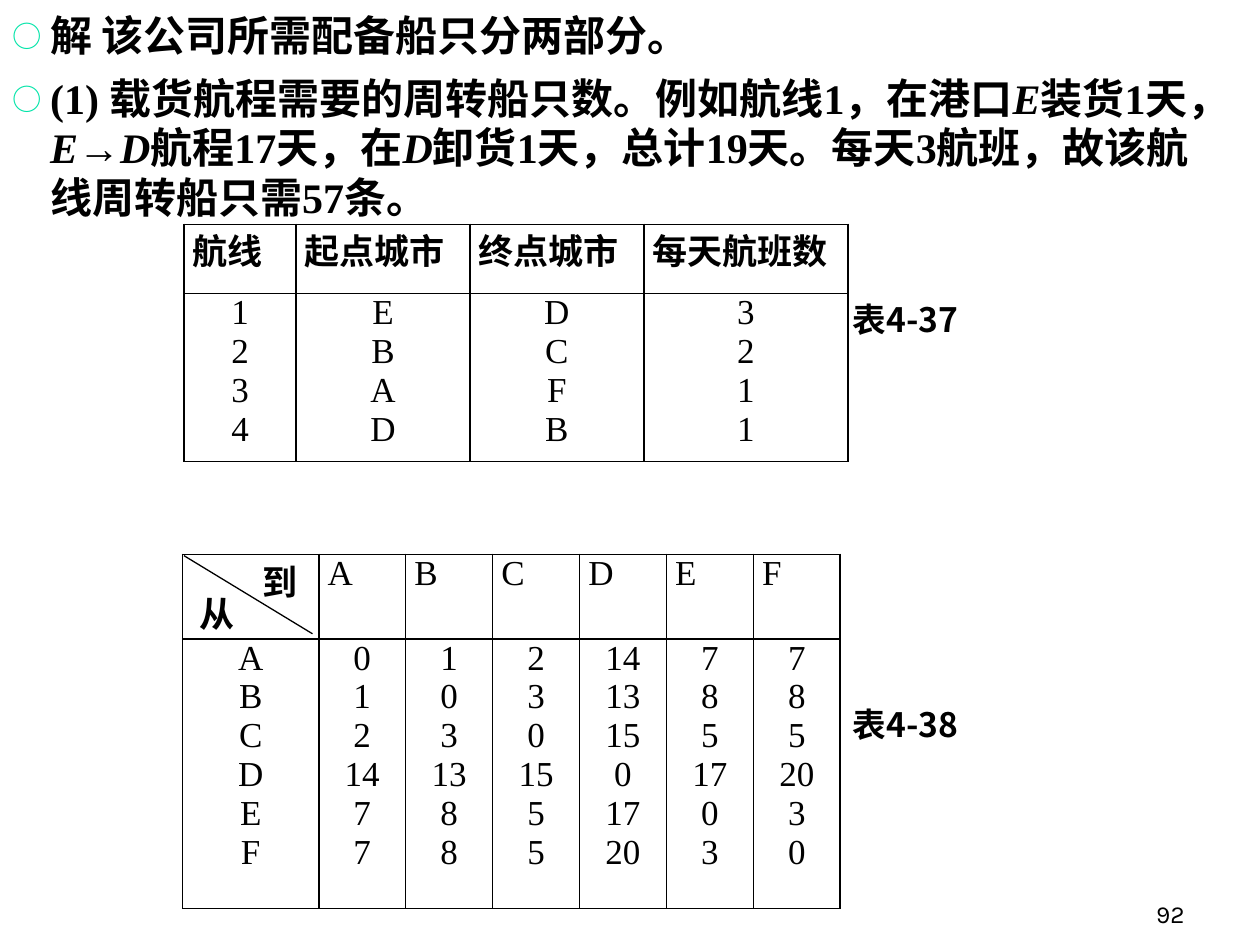
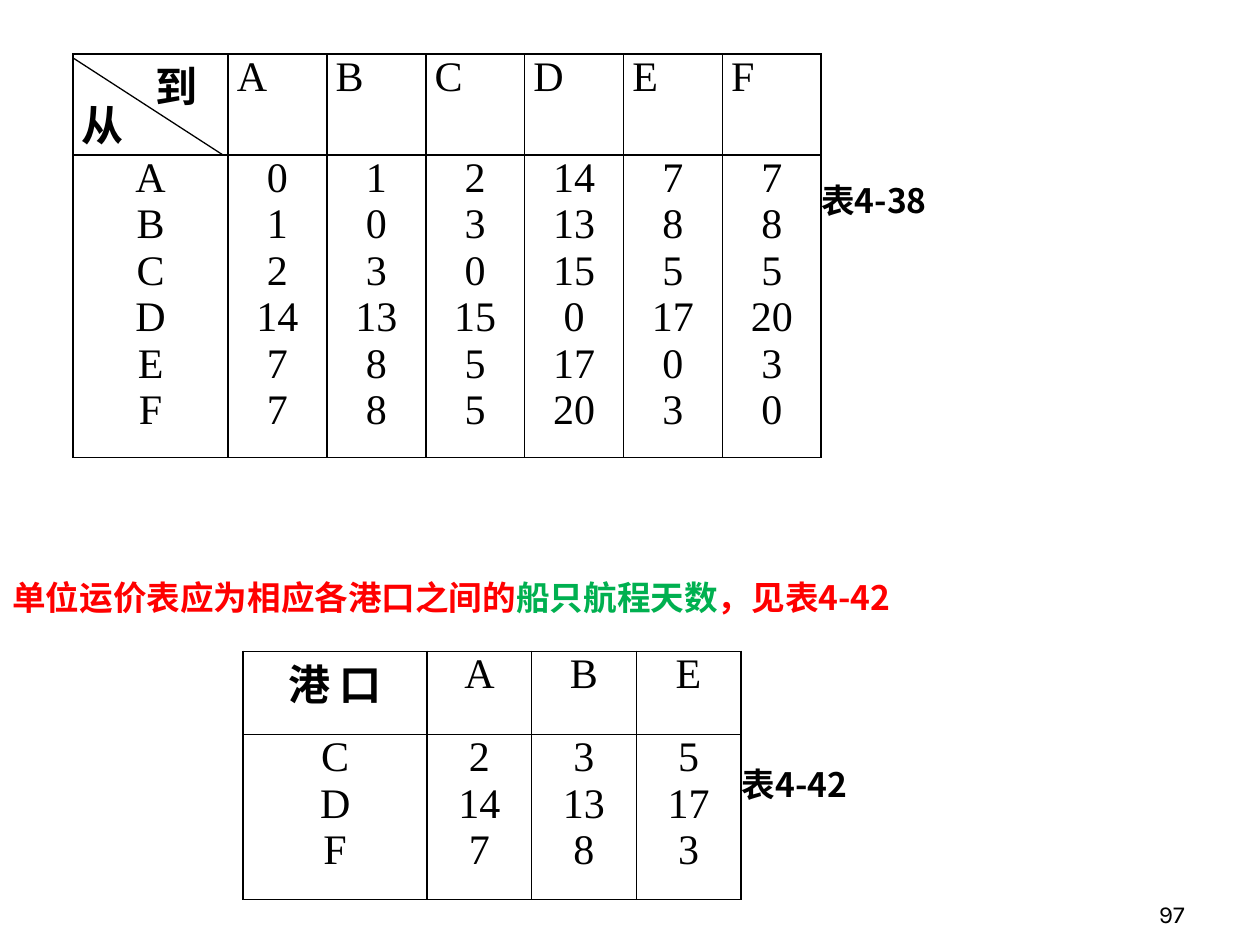
from dataclasses import dataclass

from lxml import etree
from pptx import Presentation
from pptx.dml.color import RGBColor
from pptx.enum.shapes import MSO_CONNECTOR
from pptx.enum.text import MSO_ANCHOR, PP_ALIGN
from pptx.oxml.ns import qn
from pptx.util import Inches, Pt

STRAIGHT = MSO_CONNECTOR.STRAIGHT
LEFT, CENTER, RIGHT = PP_ALIGN.LEFT, PP_ALIGN.CENTER, PP_ALIGN.RIGHT
BOTTOM = MSO_ANCHOR.BOTTOM


@dataclass(frozen=True)
class Theme:
    black: str = "000000"
    red: str = "FF0000"
    green: str = "00B050"
    bullet: str = "00E4A8"
    chinese: str = "Noto Sans CJK SC"
    latin: str = "Times New Roman"
    number: str = "Karla"
    body_size: int = 24
    compact_size: int = 20
    number_size: int = 14
    body_line: float = 28.4
    border: float = 1
    diagonal: float = 0.75


THEME = Theme()
PORTS = "ABCDEF"
DAYS = [
    [0, 1, 2, 14, 7, 7],
    [1, 0, 3, 13, 8, 8],
    [2, 3, 0, 15, 5, 5],
    [14, 13, 15, 0, 17, 20],
    [7, 8, 5, 17, 0, 3],
    [7, 8, 5, 20, 3, 0],
]
ROUTES = {
    "航线": "1234",
    "起点城市": "EBAD",
    "终点城市": "DCFB",
    "每天航班数": "3211",
}
SOLUTION = [
    [("解 该公司所需配备船只分两部分。", False)],
    [
        ("(1) 载货航程需要的周转船只数。例如航线1，在港口", False),
        ("E", True),
        ("装货1天，", False),
        ("E", True),
        ("→", False),
        ("D", True),
        ("航程17天，在", False),
        ("D", True),
        ("卸货1天，总计19天。每天3航班，故该航线周转船只需57条。", False),
    ],
]


def style_run(run, size, font=THEME.chinese, bold=True, color=THEME.black, italic=False):
    run.font.size = Pt(size)
    run.font.name = font
    run.font.bold = bold
    run.font.italic = italic
    run.font.color.rgb = RGBColor.from_string(color)
    properties = run.font._element
    east_asian = etree.Element(qn("a:ea"), typeface=THEME.chinese)
    properties.find(qn("a:latin")).addnext(east_asian)


def add_text_box(slide, left, top, width, height):
    shape = slide.shapes.add_textbox(
        Inches(left), Inches(top), Inches(width), Inches(height))
    shape.text_frame.word_wrap = True
    return shape.text_frame


def add_bullet(paragraph):
    properties = paragraph._p.get_or_add_pPr()
    properties.set("marL", str(Inches(0.3)))
    properties.set("indent", str(-Inches(0.3)))
    color = etree.SubElement(properties, qn("a:buClr"))
    etree.SubElement(color, qn("a:srgbClr"), val=THEME.bullet)
    etree.SubElement(properties, qn("a:buSzPct"), val="70000")
    etree.SubElement(properties, qn("a:buFont"), typeface=THEME.chinese)
    etree.SubElement(properties, qn("a:buChar"), char="○")


def add_solution(slide):
    frame = add_text_box(slide, 0, 0, 10, 1.86)
    frame.margin_top = Inches(0.08)
    frame.margin_right = Inches(0.3)
    for index, parts in enumerate(SOLUTION):
        paragraph = frame.add_paragraph() if index else frame.paragraphs[0]
        add_bullet(paragraph)
        paragraph.line_spacing = Pt(THEME.body_line)
        if index:
            paragraph.space_before = Pt(7.5)
        for text, italic in parts:
            run = paragraph.add_run()
            run.text = text
            style_run(run, THEME.body_size, THEME.latin, italic=italic)


def add_caption(slide, left, top, width, parts):
    paragraph = add_text_box(slide, left, top, width, 0.5).paragraphs[0]
    for text, color in parts:
        run = paragraph.add_run()
        run.text = text
        style_run(run, THEME.body_size, color=color)
        run.font._element.set("cap", "small")


def add_table_label(slide, left, top, text):
    add_caption(slide, left, top, 1.31, [(text, THEME.black)])


def add_page_number(slide, number):
    frame = add_text_box(slide, 7.42, 6.92, 2.08, 0.5)
    frame.vertical_anchor = BOTTOM
    paragraph = frame.paragraphs[0]
    paragraph.text = number
    paragraph.alignment = RIGHT
    style_run(paragraph.runs[0], THEME.number_size, THEME.number, bold=False)


def add_borders(cell):
    properties = cell._tc.get_or_add_tcPr()
    for position, side in enumerate(("lnL", "lnR", "lnT", "lnB")):
        line = etree.Element(qn(f"a:{side}"), w=str(Pt(THEME.border)))
        fill = etree.SubElement(line, qn("a:solidFill"))
        etree.SubElement(fill, qn("a:srgbClr"), val=THEME.black)
        properties.insert(position, line)


def fill_cell(cell, lines, size, alignment):
    cell.margin_left = cell.margin_right = Inches(0.07)
    cell.margin_top = cell.margin_bottom = 0
    cell.fill.background()
    add_borders(cell)
    cell.text_frame.text = "\n".join(str(line) for line in lines)
    for paragraph in cell.text_frame.paragraphs:
        paragraph.alignment = alignment
        for run in paragraph.runs:
            chinese = not run.text.isascii()
            font = THEME.chinese if chinese else THEME.latin
            style_run(run, size, font, bold=chinese)


def add_column_table(slide, left, top, widths, heights, columns, size, header_alignment):
    frame = slide.shapes.add_table(
        2, len(columns), Inches(left), Inches(top),
        Inches(sum(widths)), Inches(sum(heights)))
    table = frame.table
    table.first_row = False
    table.horz_banding = False
    for row, height in zip(table.rows, heights):
        row.height = Inches(height)
    for index, (header, values) in enumerate(columns):
        table.columns[index].width = Inches(widths[index])
        fill_cell(table.cell(0, index), header, size, header_alignment)
        fill_cell(table.cell(1, index), values, size, CENTER)
    return table


def add_diagonal(slide, start, end):
    line = slide.shapes.add_connector(
        STRAIGHT, *(Inches(value) for value in (*start, *end)))
    line.line.color.rgb = RGBColor.from_string(THEME.black)
    line.line.width = Pt(THEME.diagonal)
    etree.SubElement(line._element.spPr, qn("a:effectLst"))


def port_columns(corner, origins, destinations):
    columns = [(corner, origins)]
    for destination in destinations:
        column = PORTS.index(destination)
        days = [DAYS[PORTS.index(origin)][column] for origin in origins]
        columns.append(([destination], days))
    return columns


def add_distance_table(slide, left, top, widths, heights, size, corner_margins):
    columns = port_columns(["到", "从"], PORTS, PORTS)
    table = add_column_table(slide, left, top, widths, heights, columns, size, LEFT)
    corner = table.cell(0, 0)
    corner.margin_left, corner.margin_right = map(Inches, corner_margins)
    to_label, from_label = corner.text_frame.paragraphs
    to_label.alignment = RIGHT
    from_label.line_spacing = Pt(round(size * 0.93, 1))


def build_routes_slide(slide):
    add_solution(slide)
    add_table_label(slide, 6.67, 5.47, "表4-38")
    add_table_label(slide, 6.67, 2.26, "表4-37")
    routes = [([header], values) for header, values in ROUTES.items()]
    add_column_table(slide, 1.46, 1.78, [0.89, 1.38, 1.38, 1.62], [0.55, 1.33],
                     routes, THEME.compact_size, LEFT)
    add_distance_table(slide, 1.45, 4.4, [1.08] + [0.69] * 6, [0.67, 2.14],
                       THEME.compact_size, (0.13, 0.17))
    add_diagonal(slide, (1.46, 4.41), (2.48, 5.03))
    add_page_number(slide, "92")


def build_costs_slide(slide):
    add_caption(slide, 0, 4.46, 10, [
        ("单位运价表应为相应各港口之间的", THEME.red),
        ("船只航程天数", THEME.green),
        ("，见表4-42", THEME.red),
    ])
    add_table_label(slide, 5.79, 5.95, "表4-42")
    add_table_label(slide, 6.42, 1.31, "表4-38")
    add_distance_table(slide, 0.58, 0.43, [1.23] + [0.785] * 6, [0.8, 2.4],
                       THEME.body_size, (0.07, 0.24))
    add_diagonal(slide, (0.58, 0.46), (1.77, 1.23))
    add_column_table(slide, 1.93, 5.17, [1.46] + [0.83] * 3, [0.66, 1.31],
                     port_columns(["港 口"], "CDF", "ABE"), THEME.body_size, CENTER)
    add_page_number(slide, "97")


def main():
    presentation = Presentation()
    presentation.slide_width = Inches(10)
    presentation.slide_height = Inches(7.5)
    blank = presentation.slide_layouts[6]
    for build in (build_routes_slide, build_costs_slide):
        build(presentation.slides.add_slide(blank))
    presentation.save("out.pptx")


if __name__ == "__main__":
    main()
